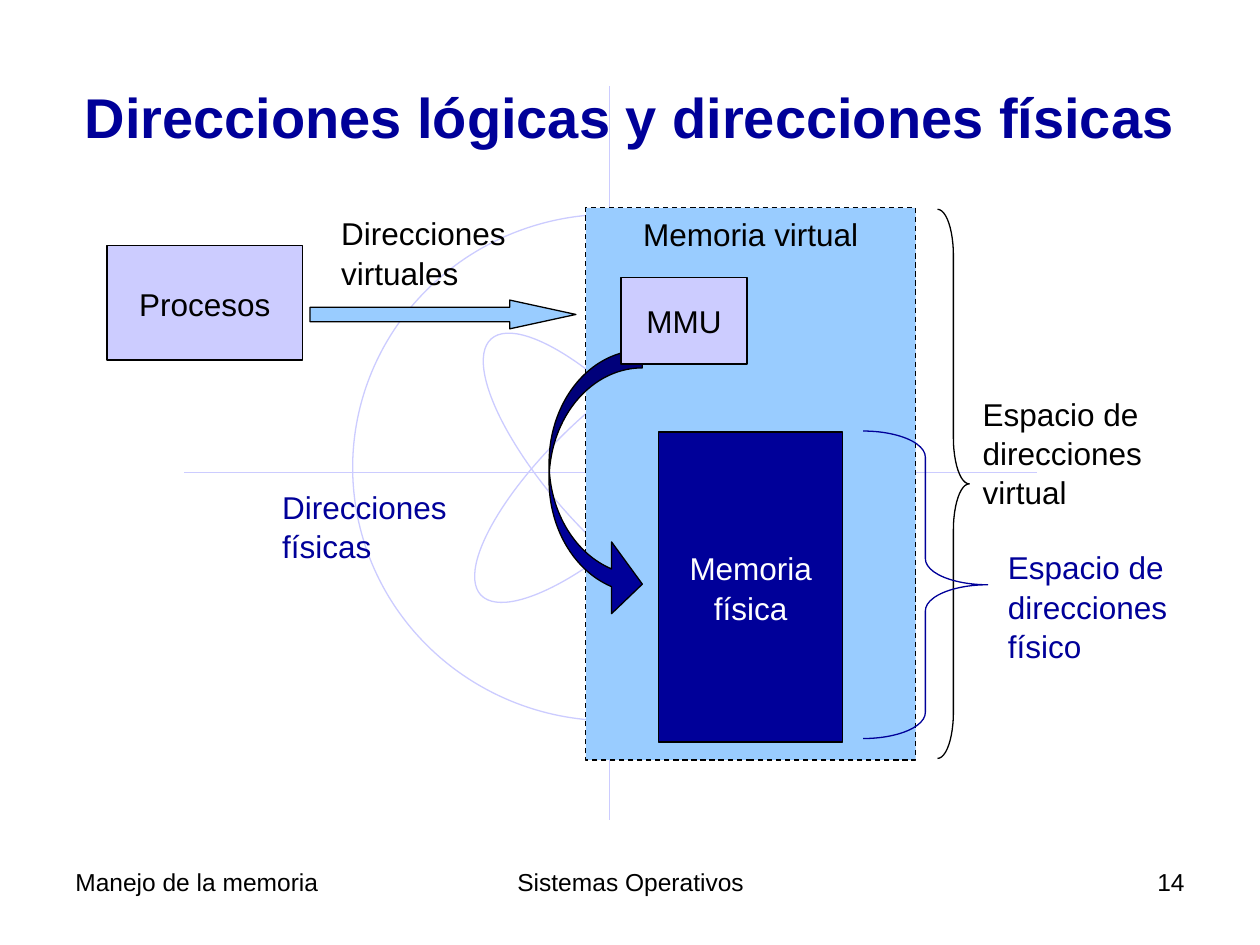
import dataclasses
import typing

import pptx
import pptx.dml.color
import pptx.enum.dml
import pptx.enum.shapes
import pptx.enum.text
import pptx.oxml
import pptx.oxml.ns
import pptx.util

Cm = pptx.util.Cm
Kind = pptx.enum.shapes.MSO_SHAPE
Align = pptx.enum.text.PP_ALIGN
Anchor = pptx.enum.text.MSO_ANCHOR
Area = tuple[float, float, float, float]


@dataclasses.dataclass(frozen=True)
class Theme:
    font: str = "Arial"
    navy: str = "000099"
    sky: str = "99CCFF"
    lilac: str = "CCCCFF"
    black: str = "000000"
    white: str = "FFFFFF"
    title: int = 32
    body: int = 18
    foot: int = 14
    line: float = 0.75
    lead: float = 1.04


look = Theme()


@dataclasses.dataclass
class Label:
    text: str
    color: str = look.black
    size: int = look.body
    bold: bool = False
    align: typing.Any = Align.LEFT
    anchor: typing.Any = Anchor.TOP
    wrap: bool = True


@dataclasses.dataclass
class Form:
    kind: typing.Any
    area: Area
    fill: str | None = None
    line: str = look.black
    turn: float = 0
    dash: bool = False
    bends: tuple[float, ...] = ()
    label: Label | None = None


@dataclasses.dataclass
class Note:
    area: Area
    label: Label


def rgb(code: str) -> typing.Any:
    return pptx.dml.color.RGBColor.from_string(code)


def apply(item: typing.Any, values: dict[str, typing.Any]) -> None:
    for name, value in values.items():
        setattr(item, name, value)


def write(shape: typing.Any, label: Label) -> None:
    frame = shape.text_frame
    apply(frame, {"word_wrap": label.wrap, "vertical_anchor": label.anchor})
    para = frame.paragraphs[0]
    spread = look.lead if label.size == look.body else 1.0
    apply(para, {"alignment": label.align, "line_spacing": spread})
    run = para.add_run()
    run.text = label.text
    apply(run.font, {"name": look.font, "size": pptx.util.Pt(label.size),
                     "bold": label.bold})
    run.font.color.rgb = rgb(label.color)


def stroke(line: typing.Any, color: str) -> None:
    line.width = pptx.util.Pt(look.line)
    line.color.rgb = rgb(color)


def draw(slide: typing.Any, form: Form) -> None:
    shape = slide.shapes.add_shape(form.kind, *map(Cm, form.area))
    shape.rotation = form.turn
    shape.shadow.inherit = False
    for place, value in enumerate(form.bends):
        shape.adjustments[place] = value
    if form.fill:
        shape.fill.solid()
        shape.fill.fore_color.rgb = rgb(form.fill)
    else:
        shape.fill.background()
    stroke(shape.line, form.line)
    if form.dash:
        shape.line.dash_style = pptx.enum.dml.MSO_LINE.DASH
    if form.label:
        write(shape, form.label)


def post(slide: typing.Any, note: Note) -> None:
    write(slide.shapes.add_textbox(*map(Cm, note.area)), note.label)


def rule(slide: typing.Any, ends: Area) -> None:
    straight = pptx.enum.shapes.MSO_CONNECTOR.STRAIGHT
    line = slide.shapes.add_connector(straight, *map(Cm, ends))
    stroke(line.line, look.lilac)
    props = line._element.spPr
    props.append(pptx.oxml.parse_xml(
        f"<a:effectLst {pptx.oxml.ns.nsdecls('a')}/>"))


def center(text: str, color: str = look.black, wrap: bool = False) -> Label:
    return Label(text, color, align=Align.CENTER, anchor=Anchor.MIDDLE, wrap=wrap)


# Background emblem
AXES = [(12.29, 1.73, 12.29, 16.54), (3.71, 9.53, 20.9, 9.53)]
OVAL = (11.1, 5.92, 2.39, 7.19)
RINGS = [Form(Kind.OVAL, (7.11, 4.32, 10.41, 10.21), line=look.lilac)] + [
    Form(Kind.OVAL, OVAL, line=look.lilac, turn=turn) for turn in (46.3, 318.3)]

# Title
TITLE = Note((1.27, 0.76, 22.86, 3.18),
             Label("Direcciones lógicas y direcciones físicas", look.navy,
                   look.title, True, Align.CENTER, Anchor.MIDDLE))

# Diagram, from back to front
PARTS = [
    Form(Kind.RECTANGLE, (11.81, 4.19, 6.65, 11.13), look.sky, dash=True,
         label=Label("Memoria virtual", align=Align.CENTER, wrap=False)),
    Form(Kind.RIGHT_BRACE, (18.9, 4.22, 0.64, 11.07), bends=(1.45, 0.5)),
    Form(Kind.RECTANGLE, (13.28, 8.71, 3.71, 6.25), look.navy,
         label=center("Memoria física", look.white, True)),
    Form(Kind.RIGHT_BRACE, (17.4, 8.69, 2.51, 6.2), line=look.navy,
         bends=(0.21, 0.5)),
    Form(Kind.RECTANGLE, (2.16, 4.95, 3.94, 2.31), look.lilac,
         label=center("Procesos")),
    Form(Kind.RIGHT_ARROW, (6.25, 6.05, 5.36, 0.58), look.sky, bends=(0.5, 2.3)),
    Form(Kind.CURVED_RIGHT_ARROW, (11.07, 7.06, 1.88, 5.44), look.navy,
         bends=(0.19, 0.77, 0.33)),
    Form(Kind.RECTANGLE, (12.52, 5.59, 2.54, 1.75), look.lilac,
         label=center("MMU")),
]
NOTES = [
    Note((19.56, 7.8, 4.29, 2.54), Label("Espacio de direcciones virtual")),
    Note((20.07, 10.9, 4.17, 2.54),
         Label("Espacio de direcciones físico", look.navy)),
    Note((6.63, 4.17, 4.7, 1.78), Label("Direcciones virtuales")),
    Note((5.44, 9.68, 5.79, 1.02),
         Label("Direcciones físicas", look.navy, wrap=False)),
]

# Footer
FEET = [
    Note((left, 17.35, width, 1.32), Label(text, size=look.foot, align=align))
    for left, width, text, align in (
        (1.27, 5.92, "Manejo de la memoria", Align.LEFT),
        (8.69, 8.05, "Sistemas Operativos", Align.CENTER),
        (18.21, 5.92, "14", Align.RIGHT))]


def main() -> None:
    deck = pptx.Presentation()
    apply(deck, {"slide_width": Cm(25.4), "slide_height": Cm(19.05)})
    slide = deck.slides.add_slide(deck.slide_layouts[6])
    for ends in AXES:
        rule(slide, ends)
    for form in RINGS:
        draw(slide, form)
    post(slide, TITLE)
    for form in PARTS:
        draw(slide, form)
    for note in NOTES + FEET:
        post(slide, note)
    deck.save("out.pptx")


if __name__ == "__main__":
    main()
